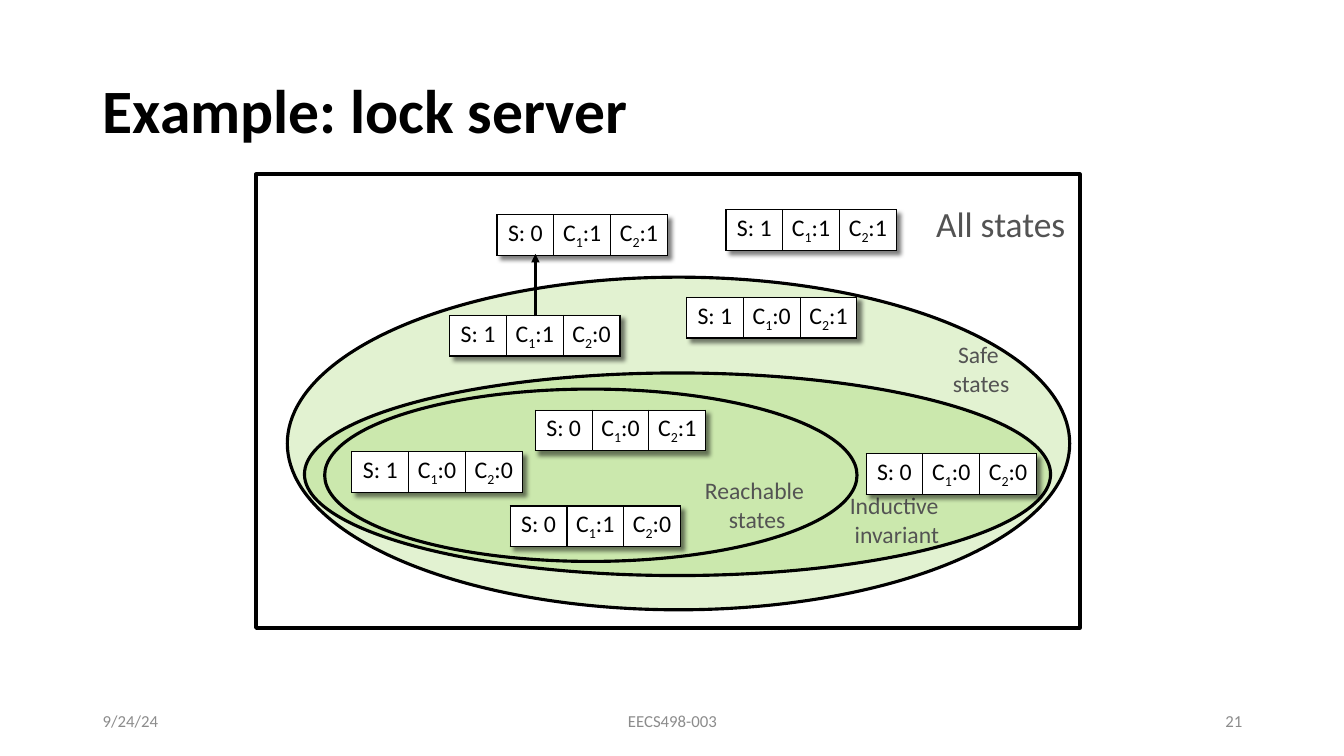
from lxml import etree
from pptx import Presentation
from pptx.dml.color import RGBColor
from pptx.enum.shapes import MSO_CONNECTOR, MSO_SHAPE
from pptx.enum.text import MSO_ANCHOR, PP_ALIGN
from pptx.oxml import parse_xml
from pptx.oxml.ns import nsdecls, qn
from pptx.util import Inches, Pt

LEFT, CENTER, RIGHT = PP_ALIGN.LEFT, PP_ALIGN.CENTER, PP_ALIGN.RIGHT
MIDDLE = MSO_ANCHOR.MIDDLE
RECTANGLE, OVAL = MSO_SHAPE.RECTANGLE, MSO_SHAPE.OVAL
STRAIGHT = MSO_CONNECTOR.STRAIGHT
FONT = "Calibri"
COLORS = {"ink": "000000", "paper": "FFFFFF", "region": "92D050",
          "label": "535353", "footer": "8C8C8C"}
STATE_WIDTH, STATE_HEIGHT = 1.69, 0.39
STATES = [
    (4.48 - 0.99, 4.48, (1, 0, 0)),
    (5.06, 5.02, (0, 1, 0)),
    (5.31, 4.07, (0, 0, 1)),
    (8.59, 4.5, (0, 0, 0)),
    (4.46, 3.13, (1, 1, 0)),
    (6.81, 2.95, (1, 0, 1)),
    (4.93, 2.13, (0, 1, 1)),
    (7.2, 2.08, (1, 1, 1)),
]
STATES[0] = (3.49, 4.48, (1, 0, 0))
REGIONS = [
    ((2.85, 2.75, 7.76, 3.3), 26, ["Safe ", "states"], (9.22, 3.32, 1.02, 0.67)),
    ((3.02, 3.7, 7.4, 2.01), 28, ["Inductive ", "invariant"], (6.94, 4.83, 3.91, 0.65)),
    ((3.22, 3.86, 5.28, 1.71), None, ["Reachable ", "states"], (6.24, 4.68, 2.54, 0.65)),
]


def color(name):
    """Return the named colour."""
    return RGBColor.from_string(COLORS[name])


def style_font(font, size, color_name, bold=False):
    """Set the typeface, size, weight and colour of a font."""
    font.name, font.size, font.bold = FONT, Pt(size), bold
    font.color.rgb = color(color_name)


def add_text(slide, box, lines, size, color_name, align, bold=False, inset=None, wrap=True):
    """Add a vertically centred text box with one paragraph per line."""
    frame = slide.shapes.add_textbox(*map(Inches, box)).text_frame
    frame.word_wrap = wrap
    frame.vertical_anchor = MIDDLE
    if inset is not None:
        frame.margin_left = frame.margin_right = Inches(inset)
        frame.margin_top = frame.margin_bottom = Inches(inset)
    frame.text = "\n".join(lines)
    for paragraph in frame.paragraphs:
        paragraph.alignment = align
        style_font(paragraph.font, size, color_name, bold)
    return frame


def add_outline(slide, kind, box, line_width, opacity=None):
    """Add a black outline, with a translucent fill if an opacity percentage is given."""
    shape = slide.shapes.add_shape(kind, *map(Inches, box))
    shape.shadow.inherit = False
    shape.line.color.rgb = color("ink")
    shape.line.width = Pt(line_width)
    if opacity is None:
        shape.fill.background()
    else:
        shape.fill.solid()
        shape.fill.fore_color.rgb = color("region")
        tint = shape.fill._xPr.find(qn("a:solidFill"))[0]
        etree.SubElement(tint, qn("a:alpha")).set("val", str(opacity * 1000))


def add_label(slide, box, lines, size, wrap=True):
    """Add the grey name of a set of states."""
    add_text(slide, box, lines, size, "label", CENTER, inset=0.04, wrap=wrap)


def fill_cell(cell, name, subscript, value):
    """Write one variable and its value into a bordered white cell."""
    cell.margin_left = cell.margin_right = Inches(0.07)
    cell.margin_top = cell.margin_bottom = Inches(0.04)
    cell.fill.solid()
    cell.fill.fore_color.rgb = color("paper")
    paragraph = cell.text_frame.paragraphs[0]
    paragraph.alignment = CENTER
    style_font(paragraph.font, 17, "ink")
    if subscript:
        parts = [(name, 0), (subscript, -25000), (f":{value}", 0)]
    else:
        parts = [(f"{name}: {value}", 0)]
    for text, baseline in parts:
        run = paragraph.add_run()
        run.text = text
        style_font(run.font, 17, "ink")
        if baseline:
            run.font._element.set("baseline", str(baseline))
    properties = cell._tc.get_or_add_tcPr()
    for index, side in enumerate("LRTB"):
        properties.insert(index, parse_xml(
            f'<a:ln{side} {nsdecls("a")} w="12700"><a:solidFill>'
            f'<a:srgbClr val="{COLORS["ink"]}"/></a:solidFill></a:ln{side}>'))


def add_state(slide, left, top, values):
    """Add a shadowed one-row table with the server and client values."""
    box = (left, top, STATE_WIDTH, STATE_HEIGHT)
    table = slide.shapes.add_table(1, 3, *map(Inches, box)).table
    table.first_row = table.horz_banding = False
    table._tbl.tblPr.insert(0, parse_xml(
        f'<a:effectLst {nsdecls("a")}><a:outerShdw blurRad="38100" dist="50800" '
        f'dir="2700000"><a:srgbClr val="{COLORS["ink"]}"><a:alpha val="50000"/>'
        '</a:srgbClr></a:outerShdw></a:effectLst>'))
    variables = [("S", ""), ("C", "1"), ("C", "2")]
    for column, ((name, subscript), value) in enumerate(zip(variables, values)):
        table.columns[column].width = Inches(STATE_WIDTH / 3)
        fill_cell(table.cell(0, column), name, subscript, value)


def add_transition(slide, start, end):
    """Add an arrow from one state to the next."""
    arrow = slide.shapes.add_connector(STRAIGHT, *map(Inches, start + end))
    arrow.line.color.rgb = color("ink")
    arrow.line.width = Pt(2)
    etree.SubElement(arrow.line._get_or_add_ln(), qn("a:tailEnd")).set("type", "triangle")
    etree.SubElement(arrow._element.spPr, qn("a:effectLst"))


def add_diagram(slide, box):
    """Add the frame of all states with its nested regions, states and transition."""
    left, top, width, height = box
    add_outline(slide, RECTANGLE, box, 2.75)
    for region, opacity, lines, label_box in REGIONS:
        add_outline(slide, OVAL, region, 2.25, opacity)
        add_label(slide, label_box, lines, 16.9)
    add_label(slide, (left + width - 1.47, top + 0.24, 1.37, 0.5), ["All states"], 25.3, False)
    for state in STATES:
        add_state(slide, *state)
    add_transition(slide, (5.31, 3.14), (5.31, 2.52))


def add_title(slide, box):
    """Add the slide title."""
    frame = add_text(slide, box, ["Example: lock server"], 44, "ink", LEFT, bold=True)
    frame.paragraphs[0].line_spacing = 0.9


def add_footer(slide, box):
    """Add the date, course and slide number along the bottom."""
    left, top, width, height = box
    fields = [(0, 3, "9/24/24", LEFT), (3.5, 4.5, "EECS498-003", CENTER),
              (width - 3, 3, "21", RIGHT)]
    for offset, field_width, text, align in fields:
        add_text(slide, (left + offset, top, field_width, height), [text], 12, "footer", align)


def main():
    """Build and save the slide."""
    presentation = Presentation()
    presentation.slide_width, presentation.slide_height = Inches(13.33), Inches(7.5)
    slide = presentation.slides.add_slide(presentation.slide_layouts[6])
    add_diagram(slide, (2.54, 1.73, 8.17, 4.5))
    add_title(slide, (0.92, 0.4, 11.5, 1.45))
    add_footer(slide, (0.92, 6.95, 11.5, 0.4))
    presentation.save("out.pptx")


if __name__ == "__main__":
    main()
